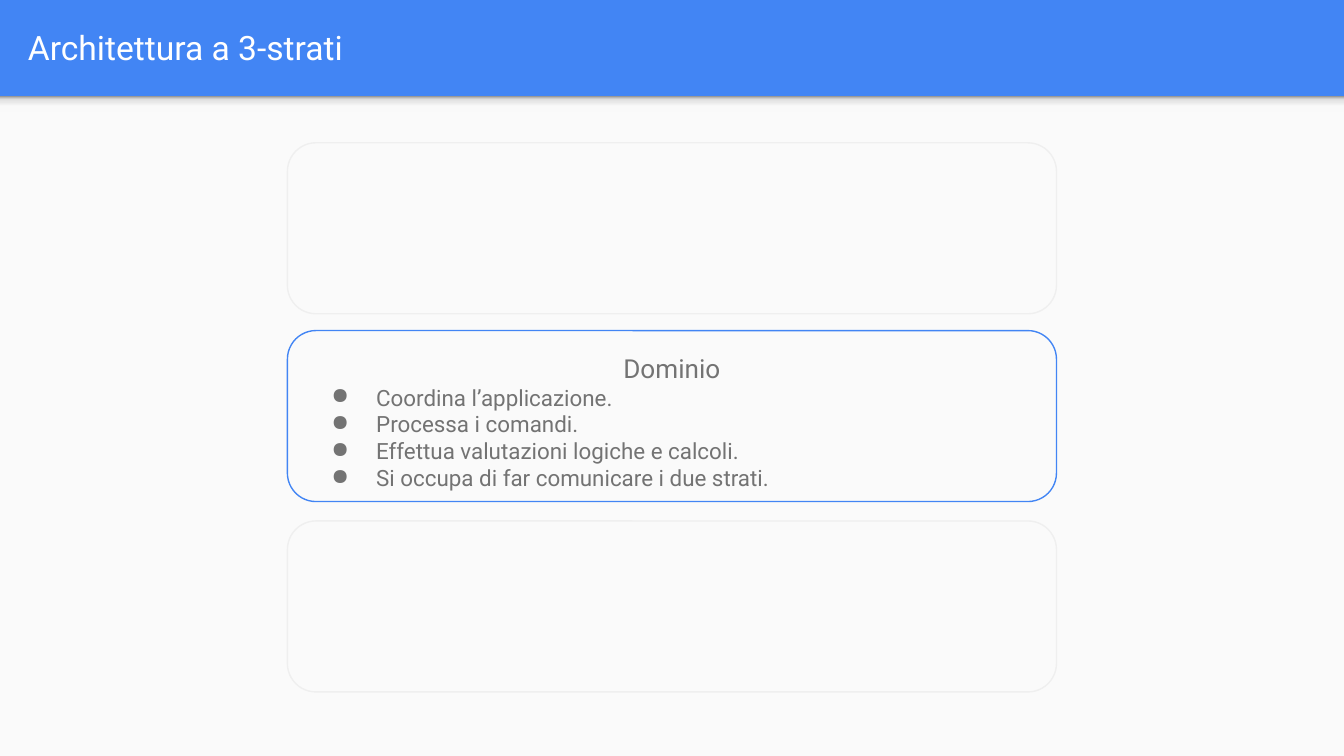
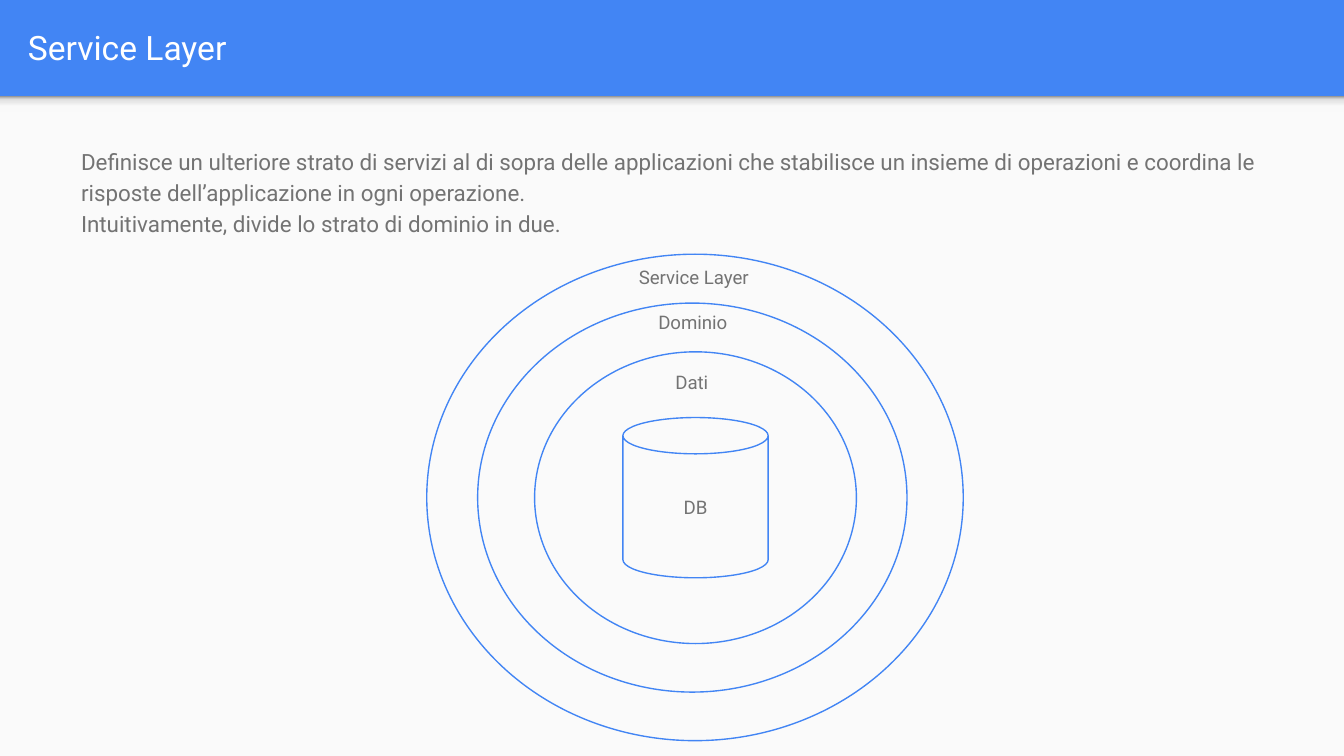
from dataclasses import dataclass

from lxml import etree
from pptx import Presentation
from pptx.dml.color import RGBColor
from pptx.enum.shapes import MSO_SHAPE
from pptx.enum.text import MSO_ANCHOR, PP_ALIGN
from pptx.oxml.ns import qn
from pptx.shapes.autoshape import Shape
from pptx.slide import Slide
from pptx.util import Pt

RECTANGLE, ROUNDED = MSO_SHAPE.RECTANGLE, MSO_SHAPE.ROUNDED_RECTANGLE
OVAL, CAN = MSO_SHAPE.OVAL, MSO_SHAPE.CAN
TOP, MIDDLE = MSO_ANCHOR.TOP, MSO_ANCHOR.MIDDLE
LEFT, CENTER = PP_ALIGN.LEFT, PP_ALIGN.CENTER

FONT = "Roboto"
BLUE, PAPER, WHITE = "4285F4", "FAFAFA", "FFFFFF"
GREY, FADED = "737373", "EFEFEF"
SHADE = ((0, "F9F9F9"), (36, "F9F9F9"), (80, "DEDEDE"), (100, "999999"))

WIDTH, HEIGHT = 720, 405
BAND_HEIGHT = 51.5
SHADE_HEIGHT = 8.6
INSET = 7.2


@dataclass(frozen=True)
class Box:
    """A frame on the slide, in points."""
    left: float
    top: float
    width: float
    height: float

    def emu(self) -> tuple[int, int, int, int]:
        """Return the frame as python-pptx lengths."""
        return Pt(self.left), Pt(self.top), Pt(self.width), Pt(self.height)


@dataclass(frozen=True)
class Line:
    """One paragraph with its look."""
    text: str
    size: float
    color: str = GREY
    align: PP_ALIGN = LEFT
    bullet: bool = False
    spacing: float = 1.0


@dataclass(frozen=True)
class Label:
    """A ring label and its frame."""
    text: str
    box: Box


LAYER_LEFT, LAYER_WIDTH, LAYER_HEIGHT = 154, 412, 91.6
PRESENTATION_TOP, DOMAIN_TOP, DATA_TOP = 76.5, 177.1, 279.1
DOMAIN_DUTIES = (
    "Coordina l’applicazione.",
    "Processa i comandi.",
    "Effettua valutazioni logiche e calcoli.",
    "Si occupa di far comunicare i due strati.",
)

SERVICE_TEXT = (
    "Definisce un ulteriore strato di servizi al di sopra delle applicazioni "
    "che stabilisce un insieme di operazioni e coordina le risposte "
    "dell’applicazione in ogni operazione.",
    "Intuitivamente, divide lo strato di dominio in due.",
)
RINGS = (
    Box(228.6, 136.2, 287.4, 260.6),
    Box(255.9, 162.4, 230, 208.4),
    Box(286.4, 188.5, 172.4, 156.3),
)
RING_LABELS = (
    Label("Service Layer", Box(335.1, 136.4, 75.6, 26.6)),
    Label("Dominio", Box(345.6, 160.4, 57.6, 26.6)),
    Label("Dati", Box(354.7, 192.4, 32.4, 26.6)),
)
DATABASE = Box(333.7, 223.7, 77.8, 85.9)


def rgb(color: str) -> RGBColor:
    """Turn a hex string into a colour."""
    return RGBColor.from_string(color)


def add_bullet(paragraph, color: str) -> None:
    """Give a paragraph a round bullet and a hanging indent."""
    properties = paragraph._p.get_or_add_pPr()
    properties.set("marL", str(Pt(36)))
    properties.set("indent", str(-Pt(24)))
    bullet_color = etree.SubElement(properties, qn("a:buClr"))
    etree.SubElement(bullet_color, qn("a:srgbClr"), val=color)
    etree.SubElement(properties, qn("a:buChar"), char="●")


def write(shape: Shape, lines: list[Line], anchor: MSO_ANCHOR = TOP,
          wrap: bool = True) -> None:
    """Fill the text frame of a shape with styled lines."""
    frame = shape.text_frame
    frame.word_wrap = wrap
    frame.vertical_anchor = anchor
    frame.margin_left = frame.margin_right = Pt(INSET)
    frame.margin_top = frame.margin_bottom = Pt(INSET)
    for index, line in enumerate(lines):
        paragraph = frame.add_paragraph() if index else frame.paragraphs[0]
        if line.bullet:
            add_bullet(paragraph, line.color)
        paragraph.alignment = line.align
        paragraph.line_spacing = line.spacing
        run = paragraph.add_run()
        run.text = line.text
        run.font.name = FONT
        run.font.size = Pt(line.size)
        run.font.color.rgb = rgb(line.color)


def add_text(slide: Slide, box: Box, lines: list[Line],
             anchor: MSO_ANCHOR = TOP, wrap: bool = True) -> None:
    """Add a text box."""
    write(slide.shapes.add_textbox(*box.emu()), lines, anchor, wrap)


def add_panel(slide: Slide, box: Box) -> Shape:
    """Add a borderless paper-coloured rectangle."""
    panel = slide.shapes.add_shape(RECTANGLE, *box.emu())
    panel.shadow.inherit = False
    panel.fill.solid()
    panel.fill.fore_color.rgb = rgb(PAPER)
    panel.line.fill.background()
    return panel


def add_outline(slide: Slide, kind: MSO_SHAPE, box: Box,
                color: str = BLUE) -> Shape:
    """Add an unfilled shape with a thin line."""
    shape = slide.shapes.add_shape(kind, *box.emu())
    shape.shadow.inherit = False
    shape.fill.background()
    shape.line.color.rgb = rgb(color)
    shape.line.width = Pt(0.75)
    return shape


def shade(shape: Shape) -> None:
    """Fill a shape with the soft shade that falls below the title band."""
    shape.fill.gradient()
    shape.fill.gradient_angle = 90
    stops = shape._element.spPr.find(qn("a:gradFill")).find(qn("a:gsLst"))
    for stop in list(stops):
        stops.remove(stop)
    for percent, color in SHADE:
        stop = etree.SubElement(stops, qn("a:gs"), pos=str(percent * 1000))
        etree.SubElement(stop, qn("a:srgbClr"), val=color)


def add_titled_slide(deck: Presentation, title: str) -> Slide:
    """Add a slide with the blue title band and the paper body."""
    slide = deck.slides.add_slide(deck.slide_layouts[6])
    slide.background.fill.solid()
    slide.background.fill.fore_color.rgb = rgb(BLUE)
    add_panel(slide, Box(0, BAND_HEIGHT, WIDTH, HEIGHT - BAND_HEIGHT))
    shade(add_panel(slide, Box(0, BAND_HEIGHT, WIDTH, SHADE_HEIGHT)))
    add_text(slide, Box(7.9, 1.6, 695, 47.6), [Line(title, 18, WHITE)], MIDDLE)
    return slide


def add_layer(slide: Slide, top: float, color: str) -> Shape:
    """Draw the outline of one layer."""
    box = Box(LAYER_LEFT, top, LAYER_WIDTH, LAYER_HEIGHT)
    return add_outline(slide, ROUNDED, box, color)


def build_architecture(deck: Presentation) -> None:
    """Build the slide of the three layers with the domain in focus."""
    slide = add_titled_slide(deck, "Architettura a 3-strati")
    add_layer(slide, PRESENTATION_TOP, FADED)
    domain = add_layer(slide, DOMAIN_TOP, BLUE)
    duties = [Line(duty, 12, bullet=True) for duty in DOMAIN_DUTIES]
    write(domain, [Line("Dominio", 14, align=CENTER), *duties])
    add_layer(slide, DATA_TOP, FADED)


def build_service_layer(deck: Presentation) -> None:
    """Build the slide of the rings around the database."""
    slide = add_titled_slide(deck, "Service Layer")
    add_text(slide, Box(36.3, 70, 647.3, 62),
             [Line(text, 12, spacing=1.15) for text in SERVICE_TEXT])
    for ring in RINGS:
        add_outline(slide, OVAL, ring)
    for label in RING_LABELS:
        add_text(slide, label.box, [Line(label.text, 10)], wrap=False)
    database = add_outline(slide, CAN, DATABASE)
    write(database, [Line("DB", 10, align=CENTER)], MIDDLE)


def main() -> None:
    """Build and save the deck."""
    deck = Presentation()
    deck.slide_width, deck.slide_height = Pt(WIDTH), Pt(HEIGHT)
    build_architecture(deck)
    build_service_layer(deck)
    deck.save("out.pptx")


if __name__ == "__main__":
    main()
